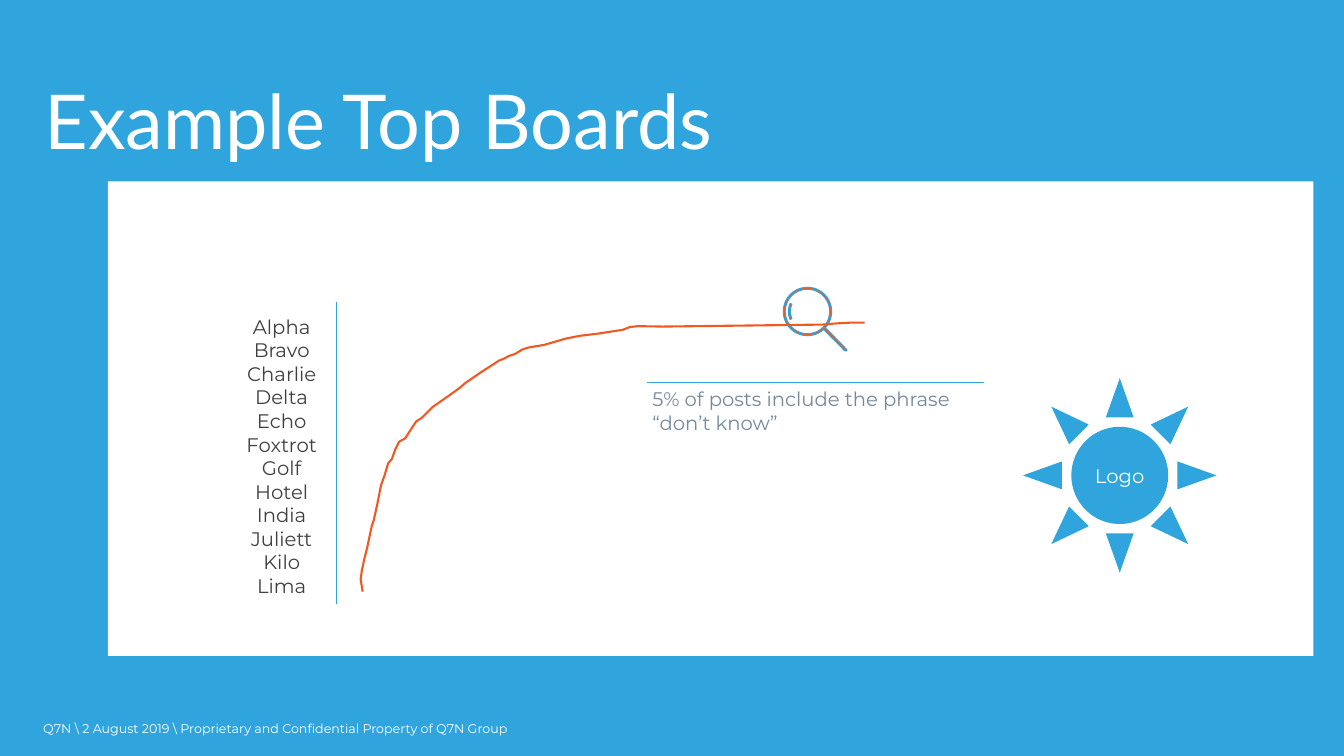
import math
from dataclasses import dataclass

import pptx
import pptx.dml.color
import pptx.enum.shapes
import pptx.enum.text
import pptx.oxml
import pptx.oxml.ns
import pptx.util
from pptx.util import Cm

COLORS = {
    "blue": "2FA4DD",
    "white": "FFFFFF",
    "orange": "F15922",
    "slate": "75899B",
    "charcoal": "404040",
}
BOARDS = ["Alpha", "Bravo", "Charlie", "Delta", "Echo", "Foxtrot",
          "Golf", "Hotel", "India", "Juliett", "Kilo", "Lima"]
# Points in centimetres on the slide
CURVE = [
    (9.14, 14.91), (9.09, 14.6), (9.12, 14.38), (9.19, 14.05), (9.25, 13.82),
    (9.32, 13.49), (9.37, 13.26), (9.42, 13.11), (9.52, 12.65), (9.6, 12.24),
    (9.7, 11.96), (9.78, 11.68), (9.88, 11.56), (9.96, 11.33), (10.06, 11.13),
    (10.21, 11.05), (10.39, 10.77), (10.49, 10.62), (10.62, 10.54), (10.9, 10.26),
    (11.3, 9.98), (11.58, 9.78), (11.73, 9.65), (12.14, 9.37), (12.42, 9.19),
    (12.57, 9.09), (12.7, 9.04), (12.83, 8.97), (12.98, 8.92), (13.16, 8.81),
    (13.31, 8.76), (13.72, 8.69), (14.27, 8.53), (14.63, 8.46), (15.06, 8.41),
    (15.7, 8.31), (15.88, 8.24), (16.08, 8.22), (16.71, 8.23), (20.73, 8.18),
    (21.08, 8.15), (21.46, 8.13), (21.79, 8.13),
]
LENS_CENTER = (20.35, 7.85)

Point = tuple[float, float]
Sides = tuple[float, float, float, float]


@dataclass(frozen=True)
class TextStyle:
    size: float
    color: str
    font: str = "Montserrat"
    centered: bool = False


@dataclass(frozen=True)
class TextBox:
    box: Sides
    lines: list[str]
    style: TextStyle
    margins: Sides = (0.13, 0.13, 0.13, 0.13)
    wrap: bool = True


FOOTER = TextBox(
    (1.09, 18.03, 15.19, 0.64),
    ["Q7N \\ 2 August 2019 \\ Proprietary and Confidential Property of Q7N Group"],
    TextStyle(9, "white"), (0, 0.13, 0.25, 0.13), wrap=False)
TITLE = TextBox((1.12, 1.52, 29.03, 3.28), ["Example Top Boards"],
                TextStyle(54, "white", "Lato"), (0, 0.18, 0.33, 0.18))
BOARD_LIST = TextBox((3.99, 7.77, 6.22, 7.44), BOARDS,
                     TextStyle(14, "charcoal", centered=True))


def rgb(name: str) -> pptx.dml.color.RGBColor:
    return pptx.dml.color.RGBColor.from_string(COLORS[name])


def fill_solid(fill, color: str) -> None:
    fill.solid()
    fill.fore_color.rgb = rgb(color)


def style_text(text_frame, style: TextStyle) -> None:
    alignment = pptx.enum.text.PP_ALIGN
    for paragraph in text_frame.paragraphs:
        paragraph.alignment = alignment.CENTER if style.centered else alignment.LEFT
        for run in paragraph.runs:
            run.font.name = style.font
            run.font.size = pptx.util.Pt(style.size)
            run.font.color.rgb = rgb(style.color)


def set_margins(target, margins: Sides) -> None:
    (target.margin_left, target.margin_top,
     target.margin_right, target.margin_bottom) = map(Cm, margins)


def add_text(slide, text: TextBox):
    text_frame = slide.shapes.add_textbox(*map(Cm, text.box)).text_frame
    text_frame.word_wrap = text.wrap
    text_frame.vertical_anchor = pptx.enum.text.MSO_ANCHOR.MIDDLE
    set_margins(text_frame, text.margins)
    text_frame.text = "\n".join(text.lines)
    style_text(text_frame, text.style)
    return text_frame


def add_block(slide, kind, box: Sides, color: str):
    shape = slide.shapes.add_shape(kind, *map(Cm, box))
    shape.shadow.inherit = False
    fill_solid(shape.fill, color)
    shape.line.fill.background()
    return shape


def add_outline(slide, contours: list[list[Point]], closed: bool):
    """Draw one freeform from contours given in centimetres."""
    outlines = [[(Cm(x), Cm(y)) for x, y in contour] for contour in contours]
    builder = slide.shapes.build_freeform(*outlines[0][0], scale=1.0)
    for index, points in enumerate(outlines):
        if index:
            builder.move_to(*points[0])
        builder.add_line_segments(points[1:], close=closed)
    shape = builder.convert_to_shape()
    shape.shadow.inherit = False
    return shape


def arc(radius: float, start: float, end: float, steps: int = 48) -> list[Point]:
    """Points around the lens, with angles in degrees clockwise from the right."""
    angles = [math.radians(start + (end - start) * i / steps) for i in range(steps + 1)]
    center_x, center_y = LENS_CENTER
    return [(center_x + radius * math.cos(a), center_y + radius * math.sin(a))
            for a in angles]


def add_magnifier(slide) -> None:
    rim_and_handle = arc(0.61, 48, 402) + [(21.34, 8.81), (21.34, 8.84), (21.29, 8.84)]
    glint = arc(0.48, 155, 205, 8) + arc(0.43, 205, 155, 8)
    shape = add_outline(slide, [rim_and_handle, arc(0.56, 0, 360), glint], closed=True)
    fill_solid(shape.fill, "orange")
    shape.line.color.rgb = rgb("blue")
    shape.line.width = 0


def set_top_border(cell, color: str, points: float) -> None:
    """Leave a line along the top of the cell only."""
    properties = cell._tc.get_or_add_tcPr()
    for side in "LRTB":
        paint = (f'<a:solidFill><a:srgbClr val="{COLORS[color]}"/></a:solidFill>'
                 if side == "T" else "<a:noFill/>")
        properties.append(pptx.oxml.parse_xml(
            f'<a:ln{side} {pptx.oxml.ns.nsdecls("a")} w="{pptx.util.Pt(points)}">'
            f"{paint}</a:ln{side}>"))


def add_callout(slide) -> None:
    box = map(Cm, (16.31, 9.63, 8.48, 1.45))
    table = slide.shapes.add_table(1, 1, *box).table
    table.first_row = False
    table.horz_banding = False
    cell = table.cell(0, 0)
    set_margins(cell, (0.13, 0.13, 0.13, 0.13))
    cell.vertical_anchor = pptx.enum.text.MSO_ANCHOR.MIDDLE
    set_top_border(cell, "blue", 1)
    cell.fill.background()
    cell.text_frame.text = "5% of posts include the phrase “don’t know”"
    style_text(cell.text_frame, TextStyle(14, "slate"))


def add_sun(slide) -> None:
    sun = add_block(slide, pptx.enum.shapes.MSO_SHAPE.SUN,
                    (25.78, 9.53, 4.88, 4.9), "blue")
    set_margins(sun.text_frame, (0.13, 0.13, 0.13, 0.13))
    sun.text_frame.vertical_anchor = pptx.enum.text.MSO_ANCHOR.MIDDLE
    sun.text_frame.text = "Logo"
    style_text(sun.text_frame, TextStyle(14, "white", centered=True))


def add_axis(slide) -> None:
    axis = slide.shapes.add_connector(pptx.enum.shapes.MSO_CONNECTOR.STRAIGHT,
                                      *map(Cm, (8.48, 7.6, 8.48, 15.22)))
    axis.line.color.rgb = rgb("blue")
    axis.line.width = pptx.util.Pt(0.5)
    axis._element.spPr.append(pptx.oxml.parse_xml(
        f'<a:effectLst {pptx.oxml.ns.nsdecls("a")}/>'))


def add_curve(slide) -> None:
    curve = add_outline(slide, [CURVE], closed=False)
    curve.fill.background()
    curve.line.color.rgb = rgb("orange")
    curve.line.width = pptx.util.Pt(1.5)


def main() -> None:
    presentation = pptx.Presentation()
    presentation.slide_width, presentation.slide_height = Cm(33.87), Cm(19.05)
    slide = presentation.slides.add_slide(presentation.slide_layouts[6])
    fill_solid(slide.background.fill, "blue")

    add_text(slide, FOOTER)
    title = add_text(slide, TITLE).paragraphs[0]
    title.line_spacing = 0.9
    title.space_before = pptx.util.Pt(10)
    add_block(slide, pptx.enum.shapes.MSO_SHAPE.RECTANGLE,
              (2.72, 4.57, 30.38, 11.96), "white")
    add_callout(slide)
    add_magnifier(slide)
    add_sun(slide)
    add_text(slide, BOARD_LIST)
    add_axis(slide)
    add_curve(slide)
    presentation.save("out.pptx")


if __name__ == "__main__":
    main()
